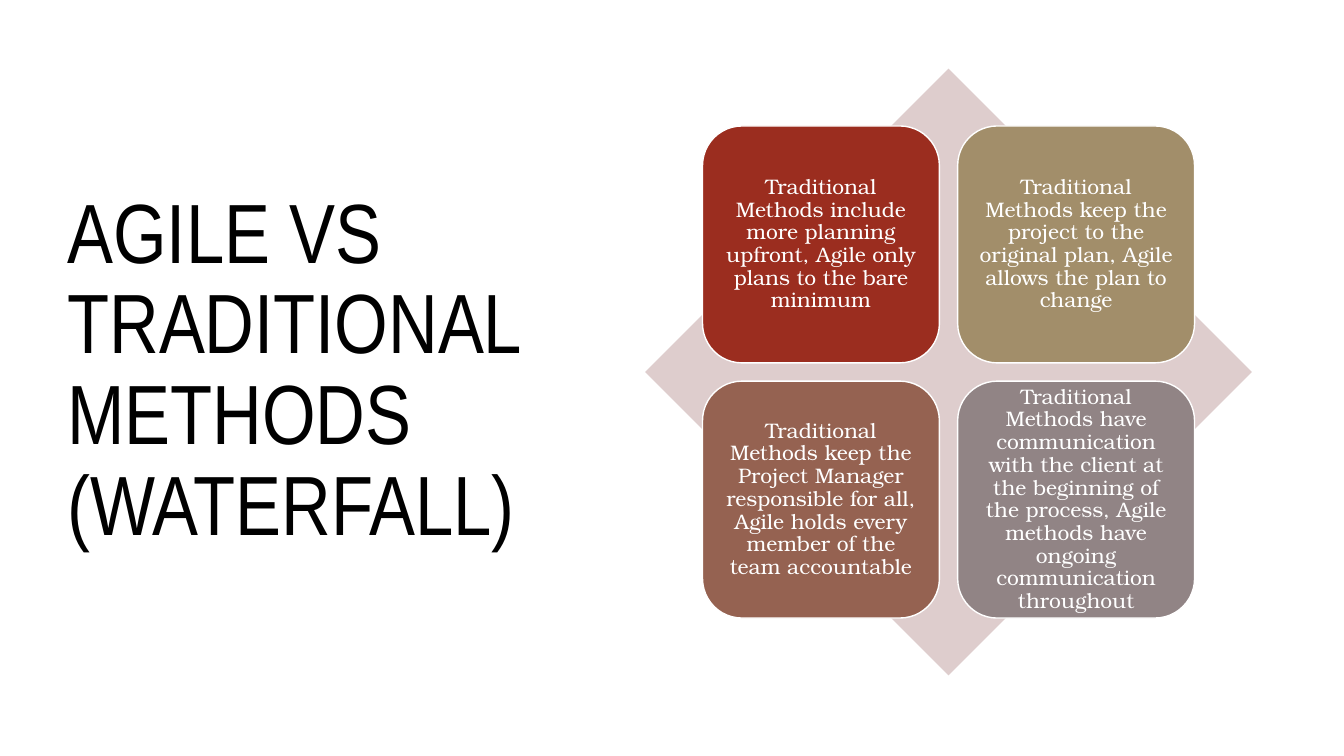
import pptx
import pptx.util
import pptx.dml.color
import pptx.enum.shapes
import pptx.enum.text

Cm = pptx.util.Cm
Pt = pptx.util.Pt
RGBColor = pptx.dml.color.RGBColor
Shape = pptx.enum.shapes.MSO_SHAPE
Align = pptx.enum.text.PP_ALIGN

BLACK = RGBColor(0x00, 0x00, 0x00)
WHITE = RGBColor(0xFF, 0xFF, 0xFF)
PALE_ROSE = RGBColor(0xDE, 0xCD, 0xCD)
RED = RGBColor(0x9B, 0x2D, 0x1F)
SAND = RGBColor(0xA2, 0x8E, 0x6A)
BROWN = RGBColor(0x95, 0x62, 0x51)
GREY = RGBColor(0x91, 0x84, 0x85)

TITLE = "AGILE VS TRADITIONAL METHODS (WATERFALL)"
DIFFERENCES = [
    ("Traditional Methods include more planning upfront, "
     "Agile only plans to the bare minimum", RED),
    ("Traditional Methods keep the project to the original plan, "
     "Agile allows the plan to change", SAND),
    ("Traditional Methods keep the Project Manager responsible for all, "
     "Agile holds every member of the team accountable", BROWN),
    ("Traditional Methods have communication with the client at the "
     "beginning of the process, Agile methods have ongoing communication "
     "throughout", GREY),
]

# All lengths below are in centimetres.
DIAMOND_LEFT, DIAMOND_TOP, DIAMOND_SIDE = 16.26, 1.73, 15.29
CARD_SIDE, CARD_GAP = 5.97, 0.46

TITLE_FONT = {"name": "Arial Narrow", "size": Pt(60)}
CARD_FONT = {"name": "TeX Gyre Bonum", "size": Pt(15)}


def set_all(target, values):
    """Set every attribute named in values on target."""
    for name, value in values.items():
        setattr(target, name, value)


def write(shape, words, font, color, align, inset_x, inset_y):
    """Put one vertically centred paragraph into a shape."""
    frame = shape.text_frame
    set_all(frame, {
        "word_wrap": True,
        "vertical_anchor": pptx.enum.text.MSO_ANCHOR.MIDDLE,
        "margin_left": Cm(inset_x), "margin_right": Cm(inset_x),
        "margin_top": Cm(inset_y), "margin_bottom": Cm(inset_y),
    })
    paragraph = frame.paragraphs[0]
    set_all(paragraph, {"alignment": align, "line_spacing": 0.9})
    run = paragraph.add_run()
    run.text = words
    set_all(run.font, font)
    run.font.color.rgb = color


def add_title(slide):
    """Add the large heading on the left."""
    heading = slide.shapes.add_textbox(Cm(1.45), Cm(1.73), Cm(13.51), Cm(15.29))
    write(heading, TITLE, TITLE_FONT, BLACK, Align.LEFT, 0.25, 0.13)


def add_square(slide, kind, left, top, side, fill):
    """Add a flat filled shape of equal width and height."""
    square = slide.shapes.add_shape(kind, Cm(left), Cm(top), Cm(side), Cm(side))
    square.shadow.inherit = False
    square.fill.solid()
    square.fill.fore_color.rgb = fill
    square.line.fill.background()
    return square


def add_card(slide, left, top, words, fill):
    """Add a rounded card with a white outline and its statement."""
    card = add_square(slide, Shape.ROUNDED_RECTANGLE, left, top, CARD_SIDE, fill)
    card.line.color.rgb = WHITE
    card.line.width = Pt(1)
    write(card, words, CARD_FONT, WHITE, Align.CENTER, 0.16, 0.16)


def add_matrix(slide):
    """Add the diamond with the two-by-two cards centred on it."""
    add_square(slide, Shape.DIAMOND, DIAMOND_LEFT, DIAMOND_TOP,
               DIAMOND_SIDE, PALE_ROSE)
    margin = (DIAMOND_SIDE - 2 * CARD_SIDE - CARD_GAP) / 2
    pitch = CARD_SIDE + CARD_GAP
    for index, (words, fill) in enumerate(DIFFERENCES):
        row, column = divmod(index, 2)
        add_card(slide, DIAMOND_LEFT + margin + column * pitch,
                 DIAMOND_TOP + margin + row * pitch, words, fill)


def main():
    """Build and save the slide."""
    deck = pptx.Presentation()
    set_all(deck, {"slide_width": Cm(33.87), "slide_height": Cm(19.05)})
    slide = deck.slides.add_slide(deck.slide_layouts[6])
    add_title(slide)
    add_matrix(slide)
    deck.save("out.pptx")


main()
